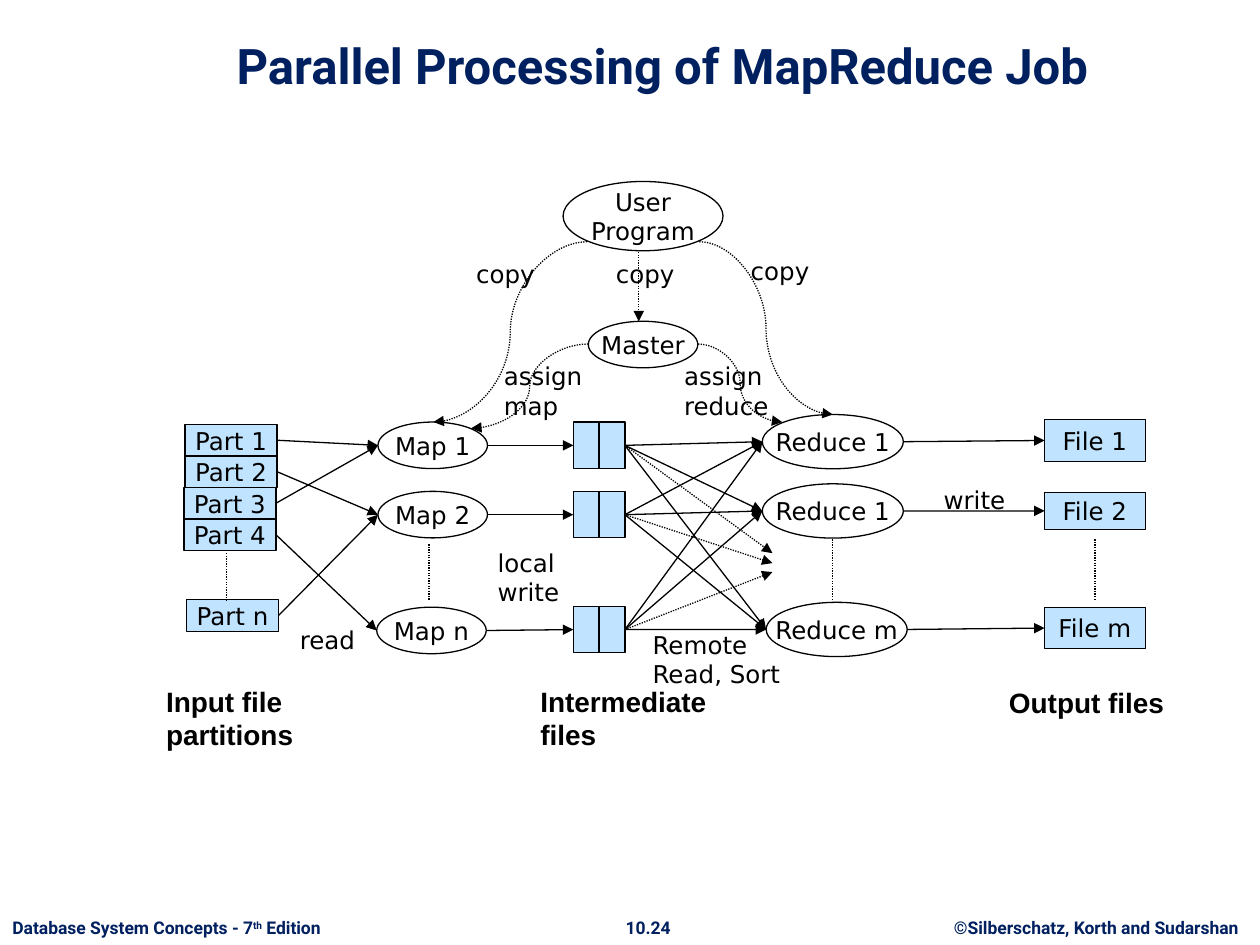
"""Builds the slide on parallel processing of a MapReduce job."""
from dataclasses import dataclass
from itertools import product

from lxml.etree import SubElement
from pptx import Presentation
from pptx.dml.color import RGBColor
from pptx.enum.dml import MSO_LINE
from pptx.enum.shapes import MSO_CONNECTOR as Wire, MSO_SHAPE as Preset
from pptx.enum.text import MSO_ANCHOR as Anchor, MSO_AUTO_SIZE as Fit, PP_ALIGN as Align
from pptx.oxml.ns import qn
from pptx.util import Pt

BLACK, NAVY, SKY = "000000", "002060", "83CAFF"
LEFT, RIGHT = 1, 3


@dataclass(frozen=True)
class Style:
    font: str
    size: float
    color: str = BLACK
    bold: bool = False


@dataclass(frozen=True)
class Node:
    key: str
    left: float
    top: float
    width: float
    height: float
    text: str = ""
    oval: bool = False


@dataclass(frozen=True)
class Label:
    text: str
    left: float
    top: float
    width: float
    height: float
    style: Style
    align: Align = Align.LEFT
    wrap: bool = False
    anchor: Anchor = Anchor.TOP


@dataclass(frozen=True)
class Link:
    start: str | tuple[float, float]
    end: str | tuple[float, float]
    dotted: bool = False
    arrow: bool = True
    curved: bool = False


BODY = Style("DejaVu Sans", 14)
CAPTION = Style("Arial", 16, bold=True)
FOOTER = Style("Roboto", 10, NAVY, True)
TITLE = Style("Roboto", 28, NAVY, True)

NODES = [
    Node("user", 321.8, 103.7, 91.4, 39.6, "User\nProgram", True),
    Node("master", 336.2, 183.6, 62.6, 26.6, "Master", True),
    *(Node(f"part {name}", left, top, 52.6, 18, f"Part {name}")
      for name, left, top in [("1", 105.8, 242.6), ("2", 105.8, 260.6), ("3", 105.1, 278.6),
                              ("4", 105.1, 296.6), ("n", 106.6, 342.7)]),
    *(Node(f"map {name}", left, top, 62.6, 26.6, f"Map {name}", True)
      for name, left, top in [("1", 216, 241.2), ("2", 216, 280.8), ("n", 215.3, 347)]),
    *(Node(f"{half} {name}", left, top, 14.7, 26.6)
      for (name, top), (half, left) in product(
          [("1", 241.2), ("2", 280.8), ("n", 346.5)], [("inlet", 327.6), ("outlet", 342.4)])),
    *(Node(f"reduce {name}", left, top, 80.6, 31, text, True)
      for name, left, top, text in [("1", 435.6, 236.9, "Reduce 1"), ("2", 435.6, 276.5, "Reduce 1"),
                                    ("m", 437.8, 344.2, "Reduce m")]),
    *(Node(f"file {name}", 596.9, top, 57.6, height, f"File {name}")
      for name, top, height in [("1", 239.8, 23.8), ("2", 281.5, 20.9), ("m", 347, 23.8)]),
]

LINKS = [
    *(Link(f"part {part}", f"map {target}")
      for part, target in [("1", "1"), ("2", "2"), ("3", "1"), ("4", "n"), ("n", "2")]),
    *(Link(f"map {name}", f"inlet {name}") for name in "12n"),
    *(Link(f"outlet {name}", f"reduce {target}") for name, target in product("12n", "12m")),
    *(Link(f"outlet {name}", (441.4, y), dotted=True)
      for name, y in [("1", 316.1), ("2", 321.8), ("n", 326.9)]),
    *(Link(f"reduce {name}", f"file {name}") for name in "12m"),
    Link((365, 144), (365, 183.6), dotted=True),
    *(Link(start, end, dotted=True, curved=True)
      for start, end in [((335.5, 138.2), (247.7, 241.2)), ((399.6, 138.2), (475.9, 236.9)),
                         ((336.2, 196.6), (269.3, 244.8)), ((398.9, 196.6), (447.1, 241.2))]),
    *(Link((x, top), (x, 342.7), dotted=True, arrow=False)
      for x, top in [(129.6, 316.1), (245.2, 311), (475.9, 308.2), (625.7, 308.2)]),
]

LABELS = [
    Label("Parallel Processing of MapReduce Job", 60.5, 9.4, 635.8, 48.2, TITLE,
          Align.CENTER, True, Anchor.BOTTOM),
    Label("©Silberschatz, Korth and Sudarshan", 532.8, 520.6, 187.2, 19.4, FOOTER, Align.CENTER),
    Label("10.24", 349.9, 520.6, 41, 19.4, FOOTER, Align.CENTER),
    *(Label("copy", left, top, 51.1, 23.8, BODY)
      for left, top in [(265, 144.7), (344.9, 144.7), (421.9, 142.6)]),
    Label("assign\nmap", 280.8, 203, 64.1, 40.3, BODY),
    Label("assign\nreduce", 383.8, 203, 76.3, 40.3, BODY, wrap=True),
    Label("read", 164.2, 353.5, 49.7, 23.8, BODY),
    Label("local\nwrite", 277.2, 309.6, 54, 40.3, BODY),
    Label("Remote\nRead, Sort", 365.8, 356.4, 97.2, 40.3, BODY),
    Label("write", 532.1, 273.6, 54, 23.8, BODY),
    Label("Input file\npartitions", 87.8, 387.4, 95, 44.6, CAPTION),
    Label("Intermediate\nfiles", 301.7, 387.4, 119.5, 44.6, CAPTION),
    Label("Output files", 569.5, 388.1, 113, 25.9, CAPTION),
]
EDITION = Label("Database System Concepts - 7", 0, 520.6, 202.3, 19.4, FOOTER)


def rgb(value: str) -> RGBColor:
    """Turn a hex string into a colour."""
    return RGBColor.from_string(value)


def style_text(frame, style: Style, align: Align) -> None:
    """Give every paragraph of a frame one font and alignment."""
    for para in frame.paragraphs:
        para.alignment = align
        font = para.font
        font.name, font.size, font.bold = style.font, Pt(style.size), style.bold
        font.color.rgb = rgb(style.color)


def draw_label(page, label: Label):
    """Draw a text box and return it."""
    box = page.shapes.add_textbox(*map(Pt, (label.left, label.top, label.width, label.height)))
    frame = box.text_frame
    frame.text = label.text
    frame.word_wrap = label.wrap
    frame.vertical_anchor = label.anchor
    frame.auto_size = Fit.NONE if label.style is TITLE else Fit.SHAPE_TO_FIT_TEXT
    style_text(frame, label.style, label.align)
    return box


def draw_edition(page) -> None:
    """Draw the book footer with its raised ordinal."""
    para = draw_label(page, EDITION).text_frame.paragraphs[0]
    raised = para.add_run()
    raised.text = "th"
    raised._r.get_or_add_rPr().set("baseline", "30000")
    para.add_run().text = " Edition"


def draw_node(page, node: Node):
    """Draw an open oval or a translucent rectangle and return it."""
    shape = page.shapes.add_shape(Preset.OVAL if node.oval else Preset.RECTANGLE,
                                  *map(Pt, (node.left, node.top, node.width, node.height)))
    shape.shadow.inherit = False
    shape.line.color.rgb = rgb(BLACK)
    shape.line.width = Pt(0.75)
    if node.oval:
        shape.fill.background()
    else:
        shape.fill.solid()
        shape.fill.fore_color.rgb = rgb(SKY)
        tint = shape._element.spPr.find(qn("a:solidFill"))[0]
        SubElement(tint, qn("a:alpha"), val="50000")
    if node.text:
        frame = shape.text_frame
        frame.text = node.text
        frame.word_wrap = False
        frame.vertical_anchor = Anchor.MIDDLE
        style_text(frame, BODY, Align.CENTER)
    return shape


def locate(end: str | tuple[float, float], side: int, nodes: dict[str, Node]) -> tuple[float, float]:
    """Return the point of a link end, at a node's side or free."""
    if not isinstance(end, str):
        return end
    node = nodes[end]
    return node.left + (node.width if side == RIGHT else 0), node.top + node.height / 2


def draw_link(page, link: Link, nodes: dict[str, Node], shapes: dict) -> None:
    """Draw a connector and join it to the rectangles it meets."""
    points = *locate(link.start, RIGHT, nodes), *locate(link.end, LEFT, nodes)
    wire = page.shapes.add_connector(Wire.CURVE if link.curved else Wire.STRAIGHT, *map(Pt, points))
    for end, side, join in [(link.start, RIGHT, wire.begin_connect), (link.end, LEFT, wire.end_connect)]:
        if isinstance(end, str) and not nodes[end].oval:
            join(shapes[end], side)
    wire.line.color.rgb = rgb(BLACK)
    wire.line.width = Pt(0.75)
    if link.dotted:
        wire.line.dash_style = MSO_LINE.ROUND_DOT
    if link.arrow:
        SubElement(wire.line._get_or_add_ln(), qn("a:tailEnd"), type="triangle")
    SubElement(wire._element.spPr, qn("a:effectLst"))


def main() -> None:
    """Build and save the deck."""
    deck = Presentation()
    deck.slide_width, deck.slide_height = Pt(720), Pt(540)
    page = deck.slides.add_slide(deck.slide_layouts[6])
    nodes = {node.key: node for node in NODES}
    shapes = {node.key: draw_node(page, node) for node in NODES}
    for link in LINKS:
        draw_link(page, link, nodes, shapes)
    for label in LABELS:
        draw_label(page, label)
    draw_edition(page)
    deck.save("out.pptx")


if __name__ == "__main__":
    main()
